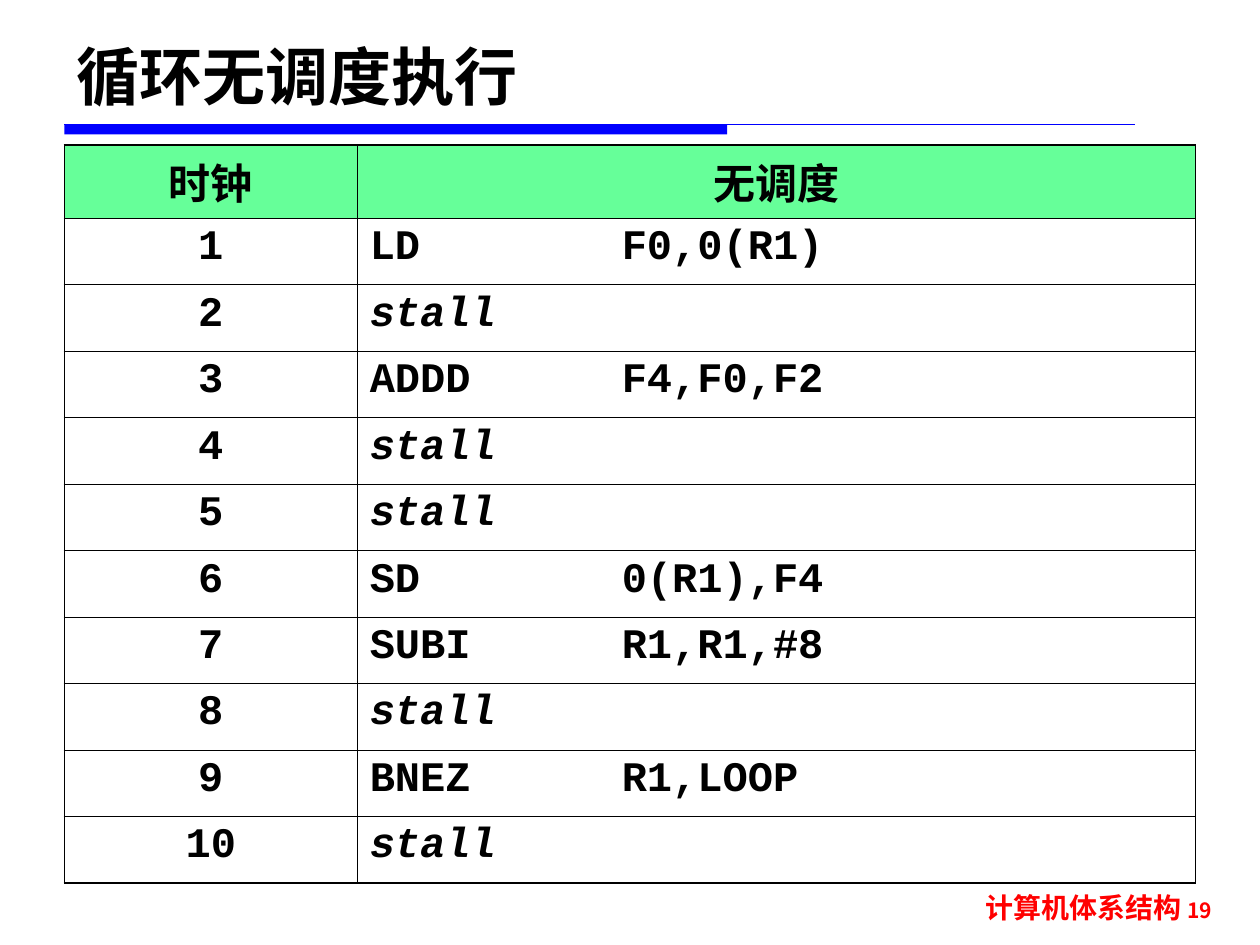
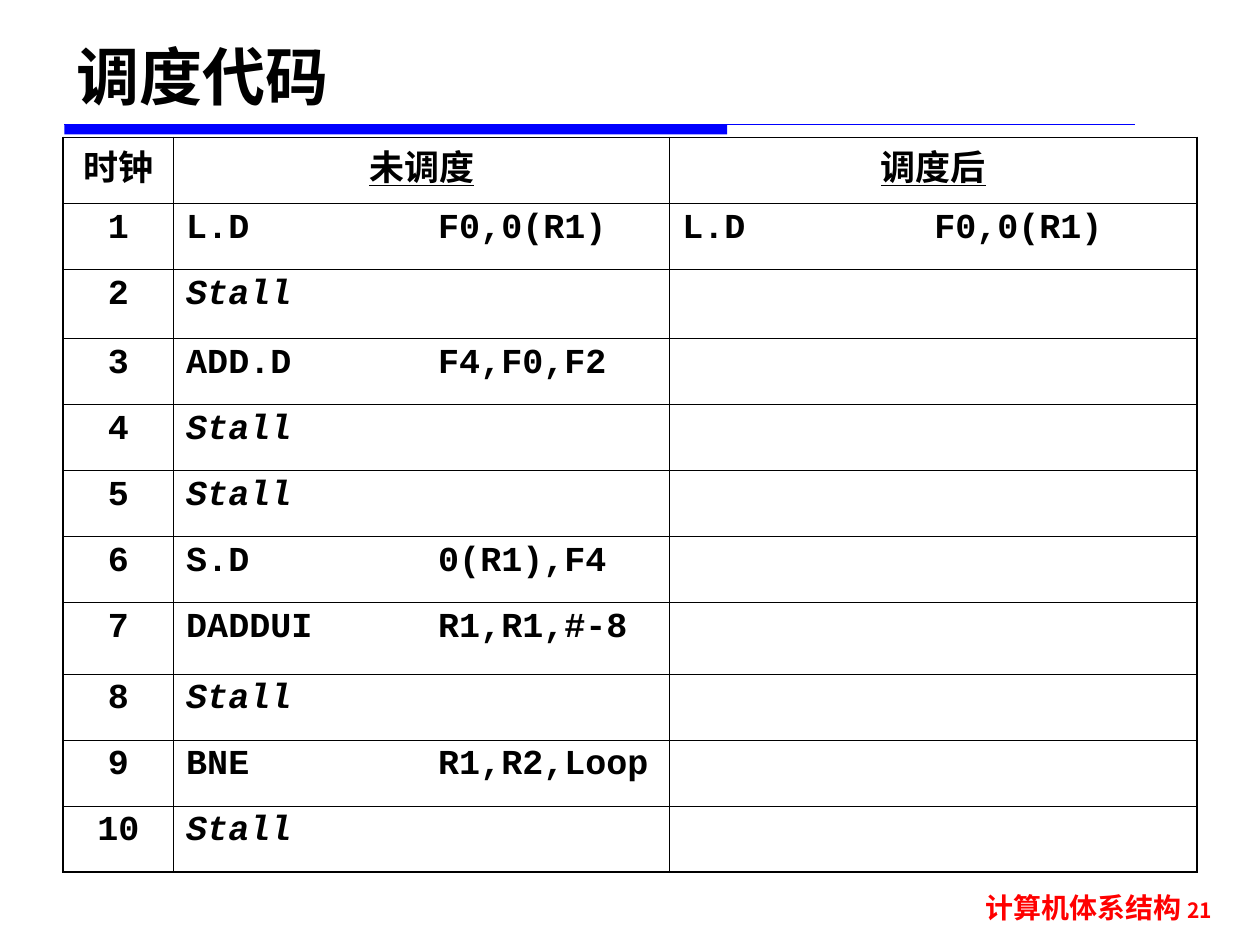
from lxml import etree
from pptx import Presentation
from pptx.dml.color import RGBColor
from pptx.enum.shapes import MSO_CONNECTOR, MSO_SHAPE
from pptx.enum.text import MSO_ANCHOR, PP_ALIGN
from pptx.oxml.ns import qn
from pptx.util import Cm, Pt

RECTANGLE = MSO_SHAPE.RECTANGLE
STRAIGHT = MSO_CONNECTOR.STRAIGHT
TOP, BOTTOM = MSO_ANCHOR.TOP, MSO_ANCHOR.BOTTOM
LEFT, CENTER, RIGHT = PP_ALIGN.LEFT, PP_ALIGN.CENTER, PP_ALIGN.RIGHT

BLACK = RGBColor(0x00, 0x00, 0x00)
BLUE = RGBColor(0x00, 0x00, 0xFF)
RED = RGBColor(0xFF, 0x00, 0x00)
GREEN = RGBColor(0x66, 0xFF, 0x99)

TITLE_FONT = "DejaVu Sans"
CODE_FONT = "Courier New"
CHINESE_FONT = "Noto Sans CJK SC"

OUTER, INNER = Pt(1.08), Pt(0.45)
TAB_STEP, TAB_COUNT = Cm(2.54), 7

UNSCHEDULED_LOOP = [
    "LD\t\tF0,0(R1)", "stall", "ADDD\t\tF4,F0,F2", "stall", "stall",
    "SD\t\t0(R1),F4", "SUBI\t\tR1,R1,#8", "stall", "BNEZ\t\tR1,LOOP", "stall",
]
UNSCHEDULED_CODE = [
    "L.D\t\tF0,0(R1)", "Stall", "ADD.D\t\tF4,F0,F2", "Stall", "Stall",
    "S.D\t\t0(R1),F4", "DADDUI\tR1,R1,#-8", "Stall", "BNE\t\tR1,R2,Loop", "Stall",
]
SCHEDULED_CODE = ["L.D\t\tF0,0(R1)"] + [""] * 9


def add_run(paragraph, text, size, color, font):
    """Append a bold run and return it."""
    run = paragraph.add_run()
    run.text = text
    run.font.size = Pt(size)
    run.font.bold = True
    run.font.color.rgb = color
    run.font.name = font
    east_asian = etree.SubElement(run.font._element, qn("a:ea"))
    east_asian.set("typeface", CHINESE_FONT)
    return run


def add_line_of_text(slide, box, anchor, align):
    """Add a wrapped text box and return its first paragraph."""
    frame = slide.shapes.add_textbox(*box).text_frame
    frame.word_wrap = True
    frame.vertical_anchor = anchor
    paragraph = frame.paragraphs[0]
    paragraph.alignment = align
    return paragraph


def add_title_rule(slide, left, top, width):
    """Draw the thick bar and the thin line under the title."""
    bar = slide.shapes.add_shape(RECTANGLE, left, top, Cm(13.36), Cm(0.2))
    bar.shadow.inherit = False
    bar.fill.solid()
    bar.fill.fore_color.rgb = BLUE
    bar.line.fill.background()
    rule = slide.shapes.add_connector(STRAIGHT, left, top, left + width, top)
    rule.line.color.rgb = BLUE
    rule.line.width = Pt(0.75)
    etree.SubElement(rule._element.spPr, qn("a:effectLst"))


def add_frame(prs, title, page):
    """Add a slide with its title, rule and footer."""
    slide = prs.slides.add_slide(prs.slide_layouts[6])
    add_title_rule(slide, Cm(1.3), Cm(2.51), Cm(21.59))
    footer = add_line_of_text(slide, (Cm(18.47), Cm(17.83), Cm(6.22), Cm(1.09)), TOP, RIGHT)
    add_run(footer, "计算机体系结构 ", 16, RED, CHINESE_FONT)
    add_run(footer, str(page), 12, RED, CHINESE_FONT)
    heading = add_line_of_text(slide, (Cm(1.3), Cm(0.53), Cm(22), Cm(1.88)), BOTTOM, LEFT)
    add_run(heading, title, 36, BLACK, TITLE_FONT)
    return slide


def set_tabs(paragraph):
    """Give a paragraph evenly spaced tab stops."""
    stops = etree.SubElement(paragraph._p.get_or_add_pPr(), qn("a:tabLst"))
    for number in range(1, TAB_COUNT + 1):
        etree.SubElement(stops, qn("a:tab"), pos=str(number * TAB_STEP), algn="l")


def set_borders(cell, widths):
    """Draw the left, right, top and bottom borders of a cell."""
    properties = cell._tc.get_or_add_tcPr()
    for index, (side, width) in enumerate(zip("LRTB", widths)):
        border = etree.Element(qn(f"a:ln{side}"), w=str(int(width)))
        fill = etree.SubElement(border, qn("a:solidFill"))
        etree.SubElement(fill, qn("a:srgbClr"), val=str(BLACK))
        properties.insert(index, border)


def fill_cell(cell, text, size, align, spacing, underline):
    """Write a cell's text, with stalls in italics."""
    paragraph = cell.text_frame.paragraphs[0]
    if "\t" in text:
        set_tabs(paragraph)
    paragraph.alignment = align
    paragraph.line_spacing = spacing
    if text:
        run = add_run(paragraph, text, size, BLACK, CODE_FONT)
        run.font.italic = text.lower() == "stall"
        run.font.underline = underline


def add_clock_table(slide, left, top, widths, heights, headers, listings, size,
                    spacing=1.0, header_fill=None, underline=False):
    """Add a table of instructions numbered by clock cycle."""
    clocks = [str(clock) for clock in range(1, len(listings[0]) + 1)]
    rows = [headers, *zip(clocks, *listings)]
    table = slide.shapes.add_table(len(rows), len(headers), left, top,
                                   sum(widths), sum(heights)).table
    table.first_row = table.horz_banding = False
    for column, width in zip(table.columns, widths):
        column.width = width
    last_row, last_column = len(rows) - 1, len(headers) - 1
    for r, (row, height) in enumerate(zip(rows, heights)):
        table.rows[r].height = height
        for c, text in enumerate(row):
            cell = table.cell(r, c)
            if r == 0 and header_fill is not None:
                cell.fill.solid()
                cell.fill.fore_color.rgb = header_fill
            else:
                cell.fill.background()
            edges = (c == 0, c == last_column, r == 0, r == last_row)
            set_borders(cell, [OUTER if edge else INNER for edge in edges])
            fill_cell(cell, text, size, CENTER if r == 0 or c == 0 else LEFT,
                      spacing, underline and r == 0 and c > 0)


def main():
    """Build both slides and save them."""
    prs = Presentation()
    prs.slide_width, prs.slide_height = Cm(25.4), Cm(19.05)

    loop = add_frame(prs, "循环无调度执行", 19)
    add_clock_table(loop, Cm(1.3), Cm(2.92), [Cm(5.9), Cm(16.9)],
                    [Cm(1.48)] + [Cm(1.34)] * 10, ["时钟", "无调度"],
                    [UNSCHEDULED_LOOP], 24, header_fill=GREEN)

    comparison = add_frame(prs, "调度代码", 21)
    heights = [Cm(1.33)] * 11
    heights[2], heights[7] = Cm(1.4), Cm(1.44)
    add_clock_table(comparison, Cm(1.27), Cm(2.77), [Cm(2.23), Cm(10), Cm(10.63)],
                    heights, ["时钟", "未调度", "调度后"],
                    [UNSCHEDULED_CODE, SCHEDULED_CODE], 20, spacing=0.9, underline=True)

    prs.save("out.pptx")


if __name__ == "__main__":
    main()
